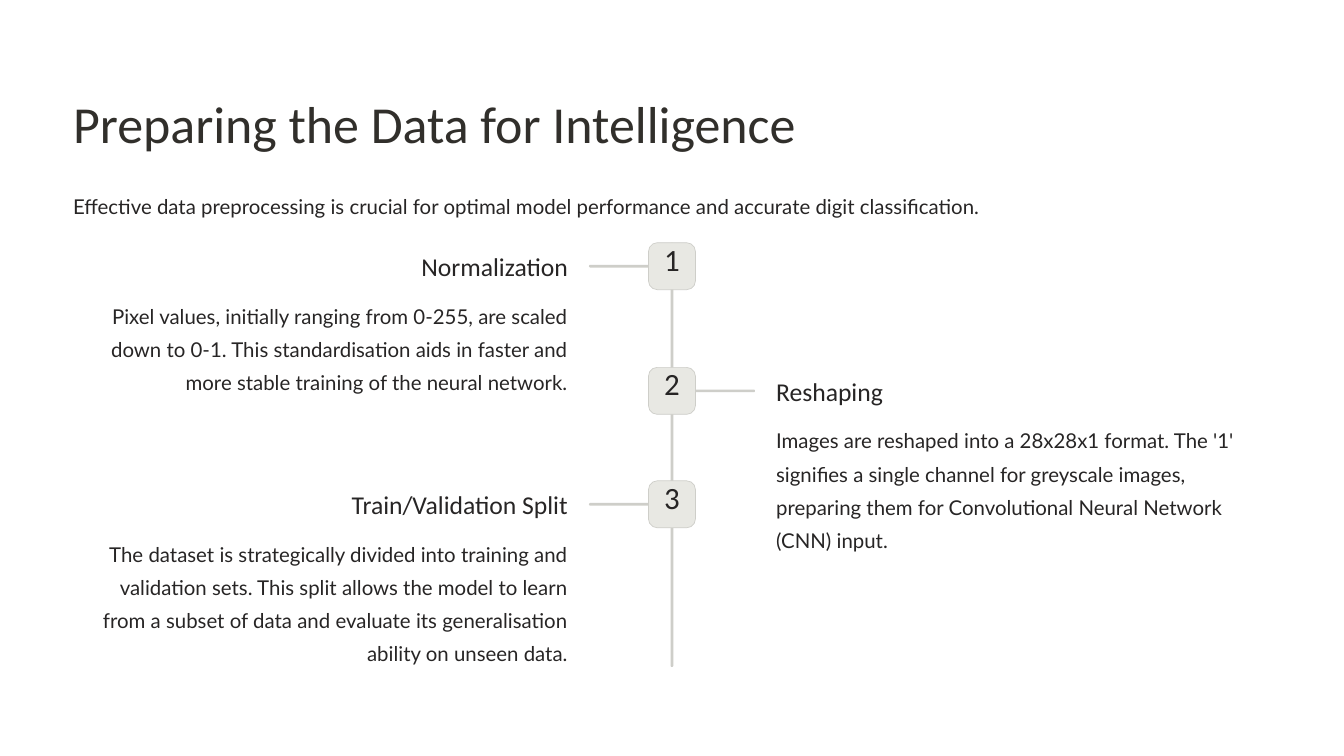
from pptx import Presentation
from pptx.dml.color import RGBColor
from pptx.enum.shapes import MSO_SHAPE as Shape
from pptx.enum.text import MSO_ANCHOR as Anchor, MSO_AUTO_SIZE as AutoSize, PP_ALIGN as Align
from pptx.util import Cm, Pt

COLORS = {"title": "312F2B", "text": "272525", "line": "CECEC9", "badge": "E8E8E3"}
PAGE_WIDTH, PAGE_HEIGHT = 40.64, 22.86
MARGIN = 2.21
CENTER = PAGE_WIDTH / 2
TIMELINE_BOX = (MARGIN, 7.34, PAGE_WIDTH - 2 * MARGIN, 12.83)
BADGE = 1.42
BAR = 0.08
STEPS = [
    (0, "left", "Normalization", 3,
     "Pixel values, initially ranging from 0-255, are scaled down to 0-1. This standardisation "
     "aids in faster and more stable training of the neural network."),
    (3.77, "right", "Reshaping", 4,
     "Images are reshaped into a 28x28x1 format. The '1' signifies a single channel for "
     "greyscale images, preparing them for Convolutional Neural Network (CNN) input."),
    (7.2, "left", "Train/Validation Split", 4,
     "The dataset is strategically divided into training and validation sets. This split allows "
     "the model to learn from a subset of data and evaluate its generalisation ability on "
     "unseen data."),
]


def write(box, text, size, spacing, font="Calibri", color="text", align=Align.LEFT):
    """Put one formatted paragraph in a text-bearing shape without insets."""
    frame = box.text_frame
    frame.margin_left = frame.margin_right = frame.margin_top = frame.margin_bottom = 0
    frame.auto_size = AutoSize.NONE
    frame.word_wrap = True
    frame.vertical_anchor = Anchor.TOP
    para = frame.paragraphs[0]
    para.alignment = align
    para.line_spacing = Pt(spacing)
    span = para.add_run()
    span.text = text
    span.font.size = Pt(size)
    span.font.name = font
    span.font.color.rgb = RGBColor.from_string(COLORS[color])


def add_text(page, box, text, **style):
    """Add a text box at the given left, top, width and height."""
    write(page.shapes.add_textbox(*map(Cm, box)), text, **style)


def add_block(page, box, fill, rounding, outline=None):
    """Add a rounded block with an optional outline."""
    block = page.shapes.add_shape(Shape.ROUNDED_RECTANGLE, *map(Cm, box))
    block.adjustments[0] = rounding
    block.shadow.inherit = False
    block.fill.solid()
    block.fill.fore_color.rgb = RGBColor.from_string(COLORS[fill])
    if outline:
        block.line.color.rgb = RGBColor.from_string(COLORS[outline])
        block.line.width = Pt(0.6)
    else:
        block.line.fill.background()


def add_header(page, box):
    """Fill the title placeholder and set the introduction below it."""
    left, top, width, height = box
    title = page.shapes.title
    title.left, title.top, title.width, title.height = map(Cm, (left, top, 24.13, 1.98))
    write(title, "Preparing the Data for Intelligence", size=44.5, spacing=55.5, color="title")
    add_text(page, (left, top + height - 1.01, width, 1.01),
             "Effective data preprocessing is crucial for optimal model performance and "
             "accurate digit classification.", size=17.5, spacing=28.5, font="Lato")


def add_step(page, box, number, side, heading, lines, body):
    """Add one numbered step with its tick and text on one side of the spine."""
    left, top, width, _ = box
    center = left + width / 2
    column = 14.96
    on_left = side == "left"
    text_left = left if on_left else left + width - column
    tick_left = center - 2.51 if on_left else center + 0.63
    align = Align.RIGHT if on_left else Align.LEFT
    add_block(page, (tick_left, top + (BADGE - BAR) / 2, 1.88, BAR), "line", 0.5)
    add_block(page, (center - BADGE / 2, top, BADGE, BADGE), "badge", 0.187, "line")
    add_text(page, (center - 0.47, top + 0.11, 0.94, 1.19), str(number),
             size=26.5, spacing=26.5, align=Align.CENTER)
    add_text(page, (text_left, top + 0.21, column, 0.99), heading,
             size=22, spacing=27.5, align=align)
    add_text(page, (text_left, top + 1.58, column, lines * 1.01), body,
             size=17.5, spacing=28.5, font="Lato", align=align)


def add_timeline(page, box):
    """Draw the vertical spine and hang the steps on it."""
    left, top, width, height = box
    add_block(page, (left + width / 2 - BAR / 2, top, BAR, height), "line", 0.5)
    for number, (offset, side, heading, lines, body) in enumerate(STEPS, 1):
        add_step(page, (left, top + offset, width, height - offset),
                 number, side, heading, lines, body)


def main():
    """Build and save the deck."""
    deck = Presentation()
    deck.slide_width, deck.slide_height = Cm(PAGE_WIDTH), Cm(PAGE_HEIGHT)
    page = deck.slides.add_slide(deck.slide_layouts.get_by_name("Title Only"))
    add_header(page, (MARGIN, 2.69, PAGE_WIDTH - 2 * MARGIN, 3.94))
    add_timeline(page, TIMELINE_BOX)
    deck.save("out.pptx")


if __name__ == "__main__":
    main()
